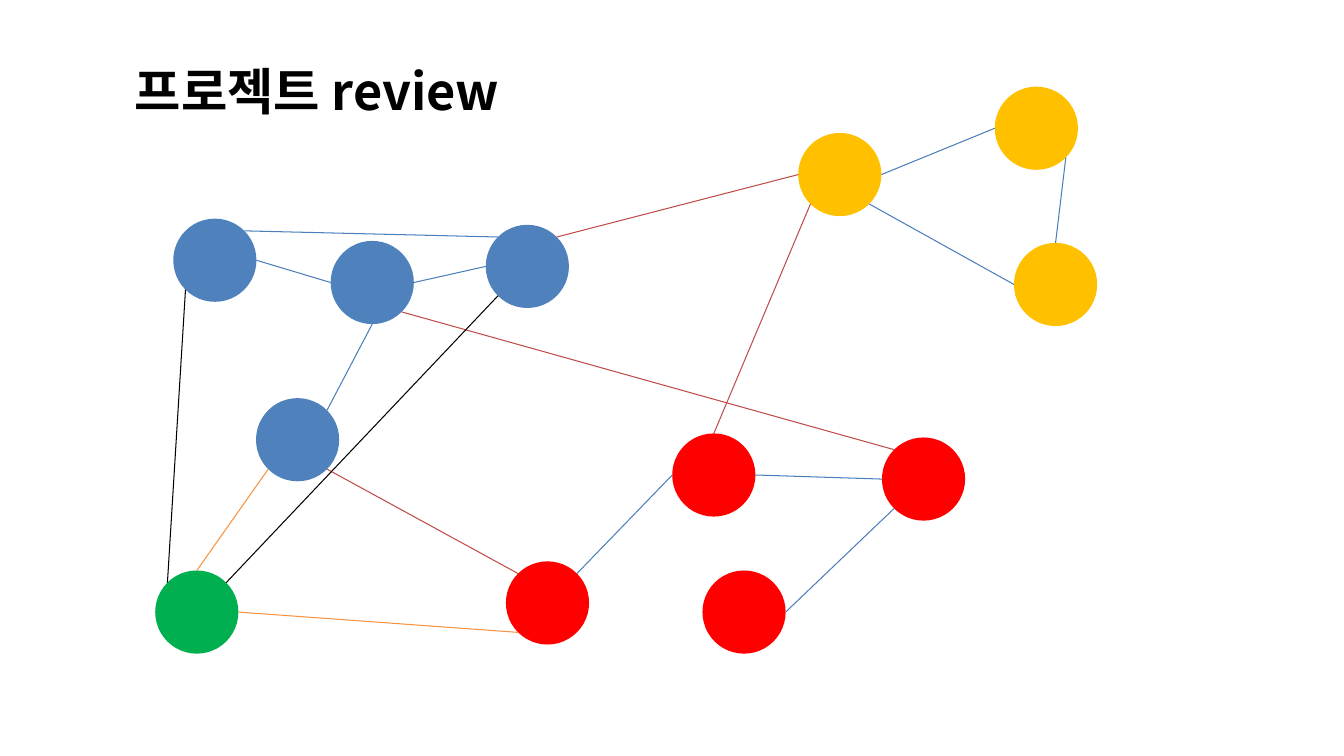
from math import cos, radians, sin

from lxml.etree import SubElement
from pptx import Presentation
from pptx.dml.color import RGBColor as RGB
from pptx.enum.shapes import MSO_CONNECTOR as CONN, MSO_SHAPE as SHAPE
from pptx.enum.text import MSO_ANCHOR as ANCHOR
from pptx.oxml.ns import qn
from pptx.util import Pt

FONT = "Noto Sans CJK KR"
COLORS = {
    "blue": "4F81BD", "red": "FF0000", "yellow": "FFC000", "green": "00B050",
    "blue_line": "4B7EBC", "red_line": "BF4C48", "orange_line": "F69240",
    "black": "000000",
}
DIAMETER = 59.4

# Circles: name -> (fill, left, top)
NODES = {
    "blue_mid": ("blue", 236.2, 172.1),
    "blue_right": ("blue", 347, 160.6),
    "blue_low": ("blue", 182.9, 284.4),
    "blue_left": ("blue", 123.8, 156.2),
    "red_left": ("red", 361.4, 401),
    "red_top": ("red", 480.2, 309.6),
    "red_low": ("red", 501.8, 407.5),
    "red_right": ("red", 630, 312.5),
    "yellow_left": ("yellow", 570.2, 95),
    "yellow_top": ("yellow", 710.6, 61.9),
    "yellow_low": ("yellow", 724.3, 173.5),
    "green": ("green", 110.9, 407.5),
}

# Points on a circle's rim, as clockwise angles from the right
ANGLES = {"E": 0, "SE": 45, "S": 90, "SW": 135,
          "W": 180, "NW": 225, "N": 270, "NE": 315}

# Links by colour: (from node, rim point, to node, rim point)
LINKS = {
    "blue_line": [
        ("blue_left", "E", "blue_mid", "W"),
        ("blue_mid", "E", "blue_right", "W"),
        ("blue_mid", "S", "blue_low", "NE"),
        ("blue_left", "NE", "blue_right", "NW"),
        ("yellow_left", "E", "yellow_top", "W"),
        ("yellow_left", "SE", "yellow_low", "W"),
        ("yellow_top", "SE", "yellow_low", "N"),
        ("red_top", "W", "red_left", "NE"),
        ("red_low", "E", "red_right", "SW"),
        ("red_top", "E", "red_right", "W"),
    ],
    "red_line": [
        ("blue_low", "SE", "red_left", "NW"),
        ("blue_right", "NE", "yellow_left", "W"),
        ("blue_mid", "SE", "red_right", "NW"),
        ("yellow_left", "SW", "red_top", "N"),
    ],
    "orange_line": [
        ("green", "E", "red_left", "SW"),
        ("green", "N", "blue_low", "SW"),
    ],
    "black": [
        ("blue_left", "SW", "green", "NW"),
        ("green", "NE", "blue_right", "SW"),
    ],
}


def color(name):
    return RGB.from_string(COLORS[name])


def add_title(s, text):
    tf = s.shapes.add_textbox(Pt(89.3), Pt(41), Pt(501.8), Pt(54)).text_frame
    tf.word_wrap = True
    tf.vertical_anchor = ANCHOR.MIDDLE
    p = tf.paragraphs[0]
    p.line_spacing = 0.85
    r = p.add_run()
    r.text = text
    r.font.name = FONT
    r.font.size = Pt(36)
    r.font.bold = True
    r.font.color.rgb = color("black")
    # East Asian typeface for the Korean word
    SubElement(r.font._element, qn("a:ea"), typeface=FONT)


def add_node(s, fill, left, top):
    sp = s.shapes.add_shape(SHAPE.OVAL, Pt(left), Pt(top),
                            Pt(DIAMETER), Pt(DIAMETER))
    sp.shadow.inherit = False
    sp.fill.solid()
    sp.fill.fore_color.rgb = color(fill)
    sp.line.fill.background()


def rim_point(node, side):
    _, left, top = NODES[node]
    radius, angle = DIAMETER / 2, radians(ANGLES[side])
    return (Pt(left + radius * (1 + cos(angle))),
            Pt(top + radius * (1 + sin(angle))))


def add_link(s, line_color, start, start_side, end, end_side):
    line = s.shapes.add_connector(CONN.STRAIGHT, *rim_point(start, start_side),
                                  *rim_point(end, end_side))
    line.line.color.rgb = color(line_color)
    line.line.width = Pt(0.75)
    SubElement(line._element.spPr, qn("a:effectLst"))


def main():
    prs = Presentation()
    prs.slide_width, prs.slide_height = Pt(960), Pt(540)
    s = prs.slides.add_slide(prs.slide_layouts[6])

    add_title(s, "프로젝트 review")
    for node in NODES.values():
        add_node(s, *node)
    for line_color, links in LINKS.items():
        for link in links:
            add_link(s, line_color, *link)

    prs.save("out.pptx")


main()
